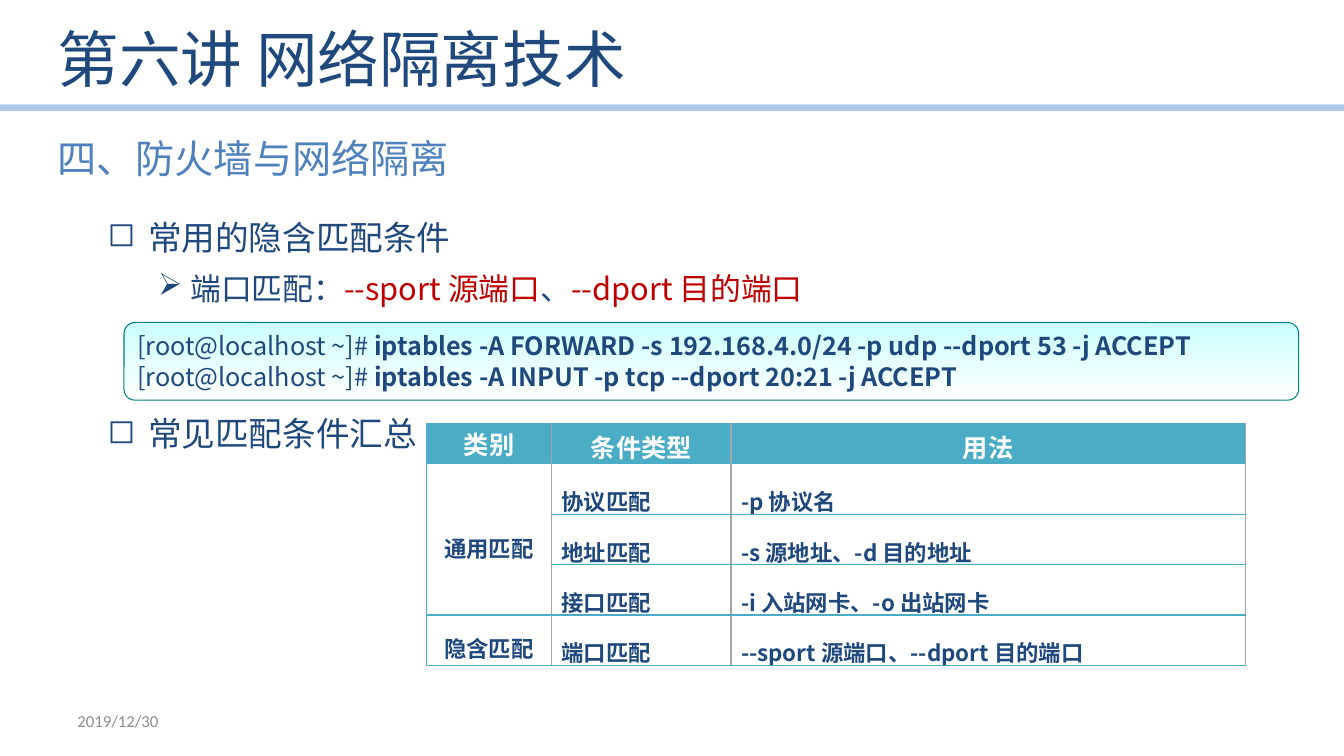
from dataclasses import dataclass

from lxml import etree
from pptx import Presentation
from pptx import util as u
from pptx.dml.color import RGBColor
from pptx.enum import shapes, text
from pptx.oxml import ns

PX = 9144


@dataclass(frozen=True)
class Theme:
    face: str = "Noto Sans CJK SC"
    date_face: str = "Calibri"
    navy: str = "1F497D"
    blue: str = "4F81BD"
    red: str = "C00000"
    teal: str = "4BACC6"
    grey: str = "A6A6A6"
    date_grey: str = "8C8C8C"
    rule: str = "8EB4E3"
    white: str = "FFFFFF"
    mint: str = "CCFFFF"
    frame: str = "008080"
    title: int = 44
    section: int = 28
    point: int = 24
    detail: int = 22
    code: int = 18
    head: int = 18
    cell: int = 16
    date: int = 12


class Deck:
    def __init__(self, theme):
        self.theme = theme
        self.prs = Presentation()
        self.prs.slide_width, self.prs.slide_height = self.px(1333, 750)
        self.slide = self.prs.slides.add_slide(self.prs.slide_layouts[5])

    def px(self, *lengths):
        return [u.Emu(length * PX) for length in lengths]

    def apply(self, target, formats):
        for name, value in formats.items():
            setattr(target, name, value)

    def child(self, parent, tag, **attributes):
        return etree.SubElement(parent, ns.qn(tag), attributes)

    def add_runs(self, paragraph, runs, size, face=None, **formats):
        face = face or self.theme.face
        self.apply(paragraph, formats)
        for words, color, bold in runs:
            run = paragraph.add_run()
            run.text = words
            self.apply(run.font, {"size": u.Pt(size), "bold": bold, "name": face})
            run.font.color.rgb = RGBColor.from_string(color)
            self.child(run._r.get_or_add_rPr(), "a:ea", typeface=face)

    def title(self, box, words):
        holder = self.slide.shapes.title
        self.apply(holder, dict(zip(("left", "top", "width", "height"), self.px(*box))))
        self.apply(holder.text_frame, {
            "auto_size": text.MSO_AUTO_SIZE.NONE,
            "vertical_anchor": text.MSO_ANCHOR.MIDDLE,
        })
        self.add_runs(holder.text_frame.paragraphs[0], [(words, self.theme.navy, False)],
                      self.theme.title, alignment=text.PP_ALIGN.LEFT)

    def rule(self, y, weight, opacity):
        line = self.slide.shapes.add_connector(
            shapes.MSO_CONNECTOR.STRAIGHT, *self.px(0, y, 1333, y))
        line.line.width = u.Pt(weight)
        line.line.color.rgb = RGBColor.from_string(self.theme.rule)
        color = line._element.spPr.find(".//" + ns.qn("a:srgbClr"))
        self.child(color, "a:alpha", val=str(opacity * 1000))
        self.child(line._element.spPr, "a:effectLst")

    def frame(self, box, anchor=text.MSO_ANCHOR.TOP):
        frame = self.slide.shapes.add_textbox(*self.px(*box)).text_frame
        self.apply(frame, {"word_wrap": True, "vertical_anchor": anchor})
        return frame

    def label(self, box, words, size, color, face=None, anchor=text.MSO_ANCHOR.TOP):
        frame = self.frame(box, anchor)
        self.add_runs(frame.paragraphs[0], [(words, color, False)], size, face)

    def outline(self, box, points):
        frame = self.frame(box)
        for index, (level, before, runs) in enumerate(points):
            paragraph = frame.paragraphs[0] if index == 0 else frame.add_paragraph()
            mark, margin, hang, size = {
                1: ("◻", 90, 40, self.theme.point),
                2: ("➢", 132, 32, self.theme.detail),
            }[level]
            properties = paragraph._p.get_or_add_pPr()
            properties.set("marL", str(margin * PX))
            properties.set("indent", str(-hang * PX))
            self.child(properties, "a:buChar", char=mark)
            self.add_runs(paragraph, runs, size, level=level, line_spacing=1.2,
                          space_before=u.Pt(before), alignment=text.PP_ALIGN.JUSTIFY)

    def terminal(self, box, prompt, commands):
        panel = self.slide.shapes.add_shape(
            shapes.MSO_SHAPE.ROUNDED_RECTANGLE, *self.px(*box))
        panel.shadow.inherit = False
        panel.adjustments[0] = 0.14
        panel.fill.gradient()
        panel.fill.gradient_angle = 270
        colors = (self.theme.mint, self.theme.white)
        for position, (stop, color) in enumerate(zip(panel.fill.gradient_stops, colors)):
            stop.position = position
            stop.color.rgb = RGBColor.from_string(color)
        panel.line.width = u.Pt(0.75)
        panel.line.color.rgb = RGBColor.from_string(self.theme.frame)
        frame = panel.text_frame
        self.apply(frame, {"word_wrap": True, "vertical_anchor": text.MSO_ANCHOR.TOP})
        for index, command in enumerate(commands):
            paragraph = frame.paragraphs[0] if index == 0 else frame.add_paragraph()
            self.add_runs(paragraph, [(prompt, self.theme.navy, False),
                                      (command, self.theme.navy, True)],
                          self.theme.code, alignment=text.PP_ALIGN.LEFT)

    def borders(self, cell, first_column):
        properties = cell._tc.get_or_add_tcPr()
        left = self.theme.teal if first_column else self.theme.grey
        sides = (("L", left), ("R", self.theme.grey),
                 ("T", self.theme.teal), ("B", self.theme.teal))
        for side, color in sides:
            line = self.child(properties, "a:ln" + side, w=str(int(u.Pt(1))))
            fill = self.child(line, "a:solidFill")
            self.child(fill, "a:srgbClr", val=color)

    def table(self, box, widths, heights, rows, merged):
        grid = self.slide.shapes.add_table(
            len(rows), len(widths), *self.px(*box)).table
        self.apply(grid, {"first_row": False, "horz_banding": False})
        for column, width in zip(grid.columns, self.px(*widths)):
            column.width = width
        for row, height in zip(grid.rows, self.px(*heights)):
            row.height = height
        for r, words in enumerate(rows):
            for c, word in enumerate(words):
                self.cell(grid.cell(r, c), word, r == 0, c == 0)
        for start, end in merged:
            grid.cell(*start).merge(grid.cell(*end))

    def cell(self, cell, words, heading, first_column):
        side, edge = self.px(7, 0) if first_column else self.px(10, 5)
        self.apply(cell, {
            "margin_left": side, "margin_right": side,
            "margin_top": edge, "margin_bottom": edge,
            "vertical_anchor": text.MSO_ANCHOR.MIDDLE,
        })
        self.borders(cell, first_column)
        if heading:
            cell.fill.solid()
            cell.fill.fore_color.rgb = RGBColor.from_string(self.theme.teal)
        else:
            cell.fill.background()
        centred = heading or first_column
        color = self.theme.white if heading else self.theme.navy
        self.add_runs(cell.text_frame.paragraphs[0], [(words, color, True)] if words else [],
                      self.theme.head if heading else self.theme.cell,
                      line_spacing=1.0 if heading else 1.5,
                      alignment=text.PP_ALIGN.CENTER if centred else text.PP_ALIGN.LEFT)


def main():
    theme = Theme()
    deck = Deck(theme)
    deck.rule(107, 4.75, 73)
    deck.title((47, 9, 1102, 97), "第六讲 网络隔离技术")
    deck.outline((47, 202, 1228, 441), [
        (1, 0, [("常用的隐含匹配条件", theme.navy, False)]),
        (2, 4, [("端口匹配：", theme.navy, False),
                ("--sport 源端口", theme.red, False),
                ("、", theme.navy, False),
                ("--dport 目的端口", theme.red, False)]),
        (1, 70, [("常见匹配条件汇总", theme.navy, False)]),
    ])
    deck.label((47, 128, 413, 57), "四、防火墙与网络隔离", theme.section, theme.blue)
    deck.terminal((123, 320, 1165, 77), "[root@localhost ~]# ", [
        "iptables -A FORWARD -s 192.168.4.0/24 -p udp --dport 53 -j ACCEPT",
        "iptables -A INPUT -p tcp --dport 20:21 -j ACCEPT",
    ])
    deck.table((423, 420, 811, 221), (124, 178, 510), [39] + [41] * 4, [
        ("类别", "条件类型", "用法"),
        ("通用匹配", "协议匹配", "-p 协议名"),
        ("", "地址匹配", "-s 源地址、-d 目的地址"),
        ("", "接口匹配", "-i 入站网卡、-o 出站网卡"),
        ("隐含匹配", "端口匹配", "--sport 源端口、--dport 目的端口"),
    ], [((1, 0), (3, 0))])
    deck.label((67, 695, 311, 40), "2019/12/30", theme.date, theme.date_grey,
               theme.date_face, text.MSO_ANCHOR.MIDDLE)
    deck.prs.save("out.pptx")


if __name__ == "__main__":
    main()
